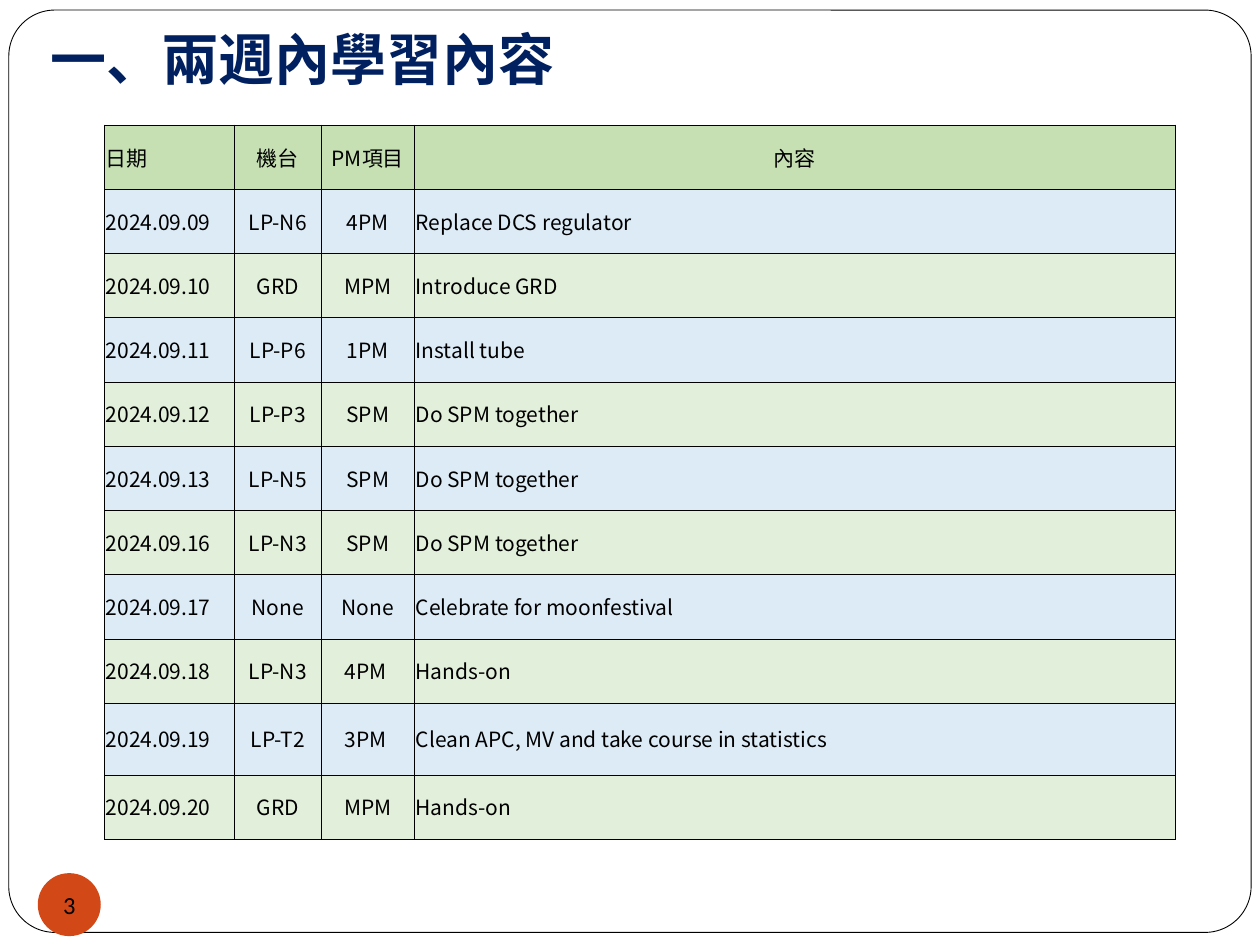
from typing import NamedTuple

from lxml.etree import SubElement
from pptx import Presentation
from pptx.dml.color import RGBColor
from pptx.enum.shapes import MSO_SHAPE
from pptx.enum.text import MSO_ANCHOR, PP_ALIGN
from pptx.oxml.ns import qn
from pptx.util import Inches, Pt

CJK_FONT = "Noto Sans CJK SC"
BLACK, WHITE, NAVY, ORANGE = "000000", "FFFFFF", "002060", "D34817"
HEADER_FILL, BLUE_BAND, GREEN_BAND = "C6E0B4", "DDEBF7", "E2EFDA"

COLUMN_WIDTHS = (1.03, 0.69, 0.74, 6.04)
ROW_HEIGHT, TALL_ROW_HEIGHT = 0.51, 0.57
BORDER_WIDTH = Pt(0.23)


class Session(NamedTuple):
    date: str
    machine: str
    item: str
    content: str


HEADER = Session("日期", "機台", "PM項目", "內容")
SESSIONS = (
    Session("2024.09.09", "LP-N6", "4PM", "Replace DCS regulator"),
    Session("2024.09.10", "GRD", "MPM", "Introduce GRD"),
    Session("2024.09.11", "LP-P6", "1PM", "Install tube"),
    Session("2024.09.12", "LP-P3", "SPM", "Do SPM together"),
    Session("2024.09.13", "LP-N5", "SPM", "Do SPM together"),
    Session("2024.09.16", "LP-N3", "SPM", "Do SPM together"),
    Session("2024.09.17", "None", "None", "Celebrate for moonfestival"),
    Session("2024.09.18", "LP-N3", "4PM ", "Hands-on"),
    Session("2024.09.19", "LP-T2", "3PM ", "Clean APC, MV and take course in statistics"),
    Session("2024.09.20", "GRD", "MPM", "Hands-on"),
)
TALL_DATE = "2024.09.19"


def color(value: str) -> RGBColor:
    return RGBColor.from_string(value)


def set_margins(holder, left: float, top: float, right: float, bottom: float) -> None:
    holder.margin_left, holder.margin_top = Inches(left), Inches(top)
    holder.margin_right, holder.margin_bottom = Inches(right), Inches(bottom)


def add_span(para, text: str, size: float, font: str, fill: str, bold: bool = False) -> None:
    span = para.add_run()
    span.text = text
    span.font.size = Pt(size)
    span.font.name = font
    span.font.bold = bold
    span.font.color.rgb = color(fill)
    SubElement(span.font._element, qn("a:ea")).set("typeface", font)


def add_panel(page, kind: MSO_SHAPE, left: float, top: float, width: float,
              height: float, fill: str):
    panel = page.shapes.add_shape(kind, Inches(left), Inches(top), Inches(width), Inches(height))
    panel.shadow.inherit = False
    panel.fill.solid()
    panel.fill.fore_color.rgb = color(fill)
    panel.line.fill.background()
    return panel


def add_borders(cell) -> None:
    properties = cell._tc.get_or_add_tcPr()
    for position, side in enumerate(("lnL", "lnR", "lnT", "lnB")):
        line = properties.makeelement(qn(f"a:{side}"), {"w": str(int(BORDER_WIDTH))})
        SubElement(SubElement(line, qn("a:solidFill")), qn("a:srgbClr")).set("val", BLACK)
        properties.insert(position, line)


def fill_row(table, row: int, session: Session, fill: str) -> None:
    for column, text in enumerate(session):
        cell = table.cell(row, column)
        cell.fill.solid()
        cell.fill.fore_color.rgb = color(fill)
        cell.vertical_anchor = MSO_ANCHOR.MIDDLE
        set_margins(cell, 0.01, 0.05, 0.01, 0.05)
        para = cell.text_frame.paragraphs[0]
        centered = column in (1, 2) or (row == 0 and column == 3)
        para.alignment = PP_ALIGN.CENTER if centered else PP_ALIGN.LEFT
        add_span(para, text, 12, CJK_FONT, BLACK)
        add_borders(cell)


def add_schedule(page) -> None:
    rows = (HEADER, *SESSIONS)
    heights = [TALL_ROW_HEIGHT if row.date == TALL_DATE else ROW_HEIGHT for row in rows]
    table = page.shapes.add_table(
        len(rows), len(COLUMN_WIDTHS), Inches(0.83), Inches(0.99),
        Inches(sum(COLUMN_WIDTHS)), Inches(sum(heights))).table
    for column, width in zip(table.columns, COLUMN_WIDTHS):
        column.width = Inches(width)
    for index, (session, height) in enumerate(zip(rows, heights)):
        table.rows[index].height = Inches(height)
        band = BLUE_BAND if index % 2 else GREEN_BAND
        fill_row(table, index, session, band if index else HEADER_FILL)


def main() -> None:
    deck = Presentation()
    deck.slide_width, deck.slide_height = Inches(10), Inches(7.5)
    page = deck.slides.add_slide(deck.slide_layouts[6])

    # Rounded page frame
    frame = add_panel(page, MSO_SHAPE.ROUNDED_RECTANGLE, 0.07, 0.08, 9.86, 7.32, WHITE)
    frame.adjustments[0] = 0.05
    frame.line.color.rgb = color(BLACK)
    frame.line.width = Pt(0.5)

    # Title
    box = page.shapes.add_textbox(Inches(0.3), Inches(0.03), Inches(8.5), Inches(0.8))
    title = box.text_frame
    title.word_wrap = True
    title.vertical_anchor = MSO_ANCHOR.BOTTOM
    set_margins(title, 0.1, 0.05, 0.1, 0.1)
    add_span(title.paragraphs[0], "一、兩週內學習內容", 32, CJK_FONT, NAVY, bold=True)

    # Schedule table
    add_schedule(page)

    # Page number badge
    badge = add_panel(page, MSO_SHAPE.OVAL, 0.3, 6.93, 0.5, 0.5, ORANGE)
    number = badge.text_frame
    number.word_wrap = False
    number.vertical_anchor = MSO_ANCHOR.MIDDLE
    set_margins(number, 0, 0, 0, 0)
    number.paragraphs[0].alignment = PP_ALIGN.CENTER
    add_span(number.paragraphs[0], "3", 14, "Calibri", BLACK)

    deck.save("out.pptx")


if __name__ == "__main__":
    main()
